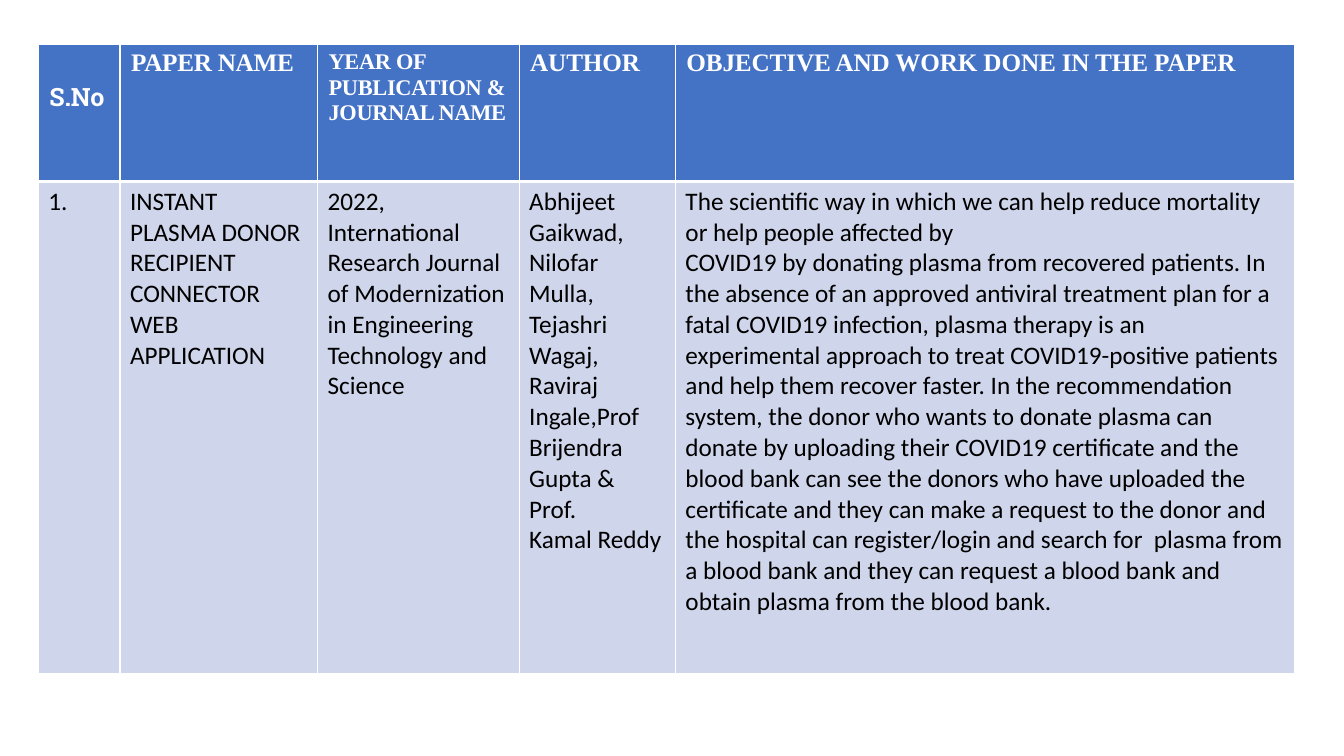
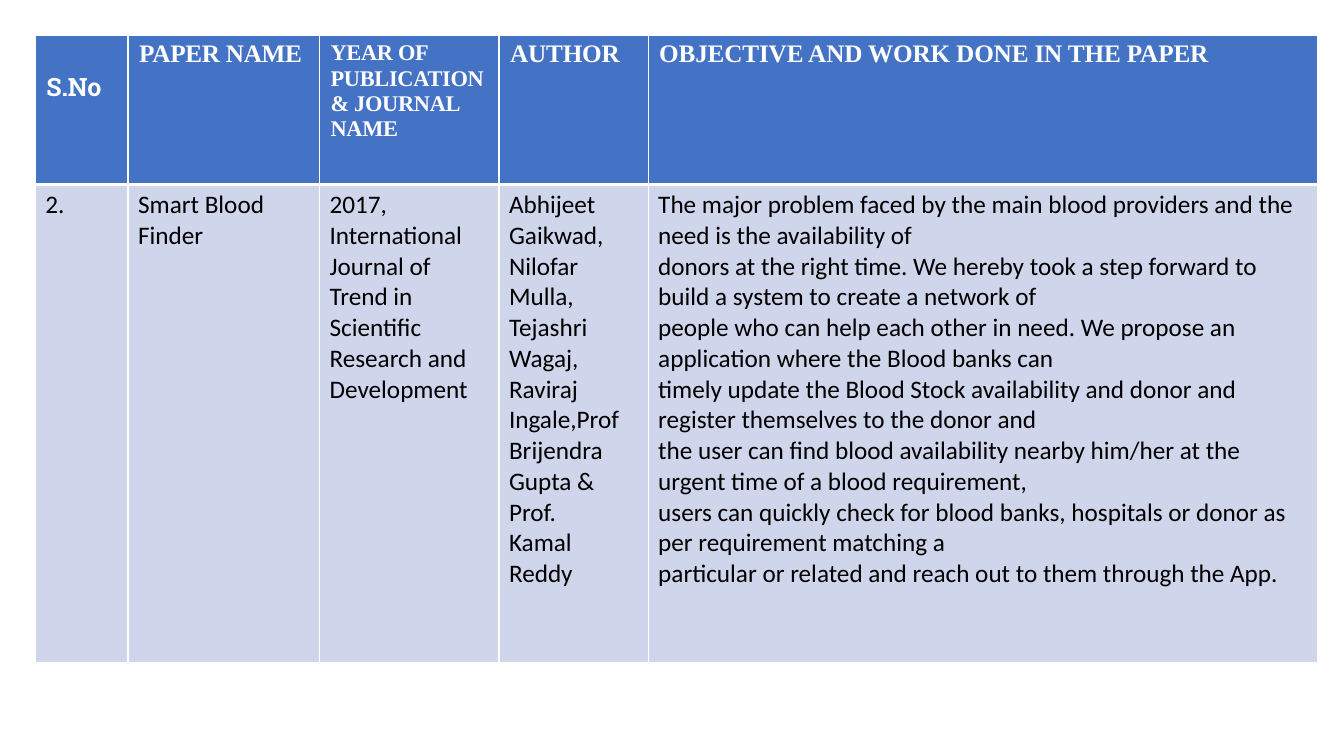
from dataclasses import dataclass
from typing import NamedTuple

from lxml.etree import SubElement
from pptx import Presentation
from pptx.dml.color import RGBColor
from pptx.oxml.ns import qn
from pptx.presentation import Presentation as Deck
from pptx.table import _Cell
from pptx.util import Emu, Inches, Pt


@dataclass(frozen=True)
class Theme:
    """Colours, fonts, type sizes and rules shared by the slides."""

    header_fill: RGBColor = RGBColor(0x44, 0x72, 0xC4)
    header_text: RGBColor = RGBColor(0xFF, 0xFF, 0xFF)
    body_fill: RGBColor = RGBColor(0xCF, 0xD5, 0xEA)
    body_text: RGBColor = RGBColor(0x00, 0x00, 0x00)
    rule: RGBColor = RGBColor(0xFF, 0xFF, 0xFF)
    header_font: str = "Times New Roman"
    number_font: str = "Roboto Slab"
    body_font: str = "Calibri"
    text_size: int = 18
    small_size: int = 16
    thin_rule: int = 1
    thick_rule: int = 3
    header_indent: float = 0.11
    header_space: int = 1


THEME = Theme()


class Heading(NamedTuple):
    """A column heading; tracking is in points, drop in inches."""

    text: str
    font: str = THEME.header_font
    size: int = THEME.text_size
    tracking: float = -0.1
    drop: float = 0.05


class Layout(NamedTuple):
    """Table geometry in percent of the slide's width and height."""

    left: float
    top: float
    columns: tuple[float, ...]
    rows: tuple[float, float]


class Paper(NamedTuple):
    """One surveyed paper: its table geometry and its row of entries."""

    layout: Layout
    entries: tuple[str, ...]


HEADINGS = (
    Heading("S.No", font=THEME.number_font, drop=0.35),
    Heading("PAPER NAME", tracking=-0.2),
    Heading("YEAR OF\nPUBLICATION & JOURNAL NAME",
            size=THEME.small_size, tracking=-0.2),
    Heading("AUTHOR"),
    Heading("OBJECTIVE AND WORK DONE IN THE PAPER"),
)

AUTHORS = (
    "Abhijeet Gaikwad, Nilofar Mulla, Tejashri Wagaj, Raviraj Ingale,Prof "
    "Brijendra Gupta & Prof.\nKamal Reddy"
)

PAPERS = (
    Paper(
        Layout(2.85, 5.87, (6.08, 14.7, 15, 11.63, 46.06), (18.13, 65.07)),
        (
            "1.",
            "INSTANT PLASMA DONOR RECIPIENT CONNECTOR WEB APPLICATION",
            "2022,\nInternational Research Journal of Modernization in "
            "Engineering Technology and Science",
            AUTHORS,
            "The scientific way in which we can help reduce mortality or help "
            "people affected by\n"
            "COVID19 by donating plasma from recovered patients. In the "
            "absence of an approved antiviral treatment plan for a fatal "
            "COVID19 infection, plasma therapy is an experimental approach to "
            "treat COVID19-positive patients and help them recover faster. In "
            "the recommendation system, the donor who wants to donate plasma "
            "can donate by uploading their COVID19 certificate and the blood "
            "bank can see the donors who have uploaded the certificate and "
            "they can make a request to the donor and the hospital can "
            "register/login and search for  plasma from a blood bank and they "
            "can request a blood bank and obtain plasma from the blood bank.",
        ),
    ),
    Paper(
        Layout(2.63, 4.67, (6.9, 14.25, 13.35, 11.1, 49.81), (19.73, 63.2)),
        (
            "2.",
            "Smart Blood Finder",
            "2017,\nInternational Journal of Trend in Scientific Research and "
            "Development",
            AUTHORS,
            "The major problem faced by the main blood providers and the need "
            "is the availability of\n"
            "donors at the right time. We hereby took a step forward to build "
            "a system to create a network of\n"
            "people who can help each other in need. We propose an "
            "application where the Blood banks can\n"
            "timely update the Blood Stock availability and donor and "
            "register themselves to the donor and\n"
            "the user can find blood availability nearby him/her at the "
            "urgent time of a blood requirement,\n"
            "users can quickly check for blood banks, hospitals or donor as "
            "per requirement matching a\n"
            "particular or related and reach out to them through the App.",
        ),
    ),
)


def share(percent: float, length: int) -> Emu:
    """Turn a percentage of a slide dimension into a length."""
    return Emu(round(length * percent / 100))


def rule_cell(cell: _Cell, bottom: int) -> None:
    """Draw thin rules round a cell, with its own weight at the bottom."""
    properties = cell._tc.get_or_add_tcPr()
    thin = THEME.thin_rule
    for side, weight in (("L", thin), ("R", thin), ("T", thin), ("B", bottom)):
        edge = SubElement(properties, qn(f"a:ln{side}"), w=str(Pt(weight)))
        paint = SubElement(edge, qn("a:solidFill"))
        SubElement(paint, qn("a:srgbClr"), val=str(THEME.rule))


def fill_cell(cell: _Cell, text: str, fill: RGBColor, color: RGBColor,
              font: str, size: int, bold: bool, tracking: float = 0) -> None:
    """Paint a cell, write its text and format every run."""
    cell.fill.solid()
    cell.fill.fore_color.rgb = fill
    cell.text_frame.text = text
    for paragraph in cell.text_frame.paragraphs:
        for run in paragraph.runs:
            run.font.name = font
            run.font.size = Pt(size)
            run.font.bold = bold
            run.font.color.rgb = color
            if tracking:
                run.font._element.set("spc", str(round(tracking * 100)))


def draw_heading(cell: _Cell, heading: Heading) -> None:
    """Draw one cell of the header row."""
    rule_cell(cell, THEME.thick_rule)
    fill_cell(cell, heading.text, THEME.header_fill, THEME.header_text,
              heading.font, heading.size, True, heading.tracking)
    cell.margin_left = Inches(THEME.header_indent)
    cell.margin_top = Inches(heading.drop)
    for paragraph in cell.text_frame.paragraphs:
        paragraph.space_before = Pt(THEME.header_space)


def draw_entry(cell: _Cell, entry: str) -> None:
    """Draw one cell of the paper's row."""
    rule_cell(cell, THEME.thin_rule)
    fill_cell(cell, entry, THEME.body_fill, THEME.body_text,
              THEME.body_font, THEME.text_size, False)


def add_paper_slide(deck: Deck, paper: Paper) -> None:
    """Add a blank slide holding the survey table of one paper."""
    slide = deck.slides.add_slide(deck.slide_layouts[6])
    layout = paper.layout
    width, height = deck.slide_width, deck.slide_height
    survey = slide.shapes.add_table(
        len(layout.rows), len(layout.columns),
        share(layout.left, width), share(layout.top, height),
        share(sum(layout.columns), width), share(sum(layout.rows), height),
    ).table
    survey.horz_banding = False
    for column, percent in zip(survey.columns, layout.columns):
        column.width = share(percent, width)
    for row, percent in zip(survey.rows, layout.rows):
        row.height = share(percent, height)
    for index, (heading, entry) in enumerate(zip(HEADINGS, paper.entries)):
        draw_heading(survey.cell(0, index), heading)
        draw_entry(survey.cell(1, index), entry)


def main() -> None:
    """Build the literature survey and save it."""
    deck = Presentation()
    deck.slide_width, deck.slide_height = Inches(13.33), Inches(7.5)
    for paper in PAPERS:
        add_paper_slide(deck, paper)
    deck.save("out.pptx")


main()
